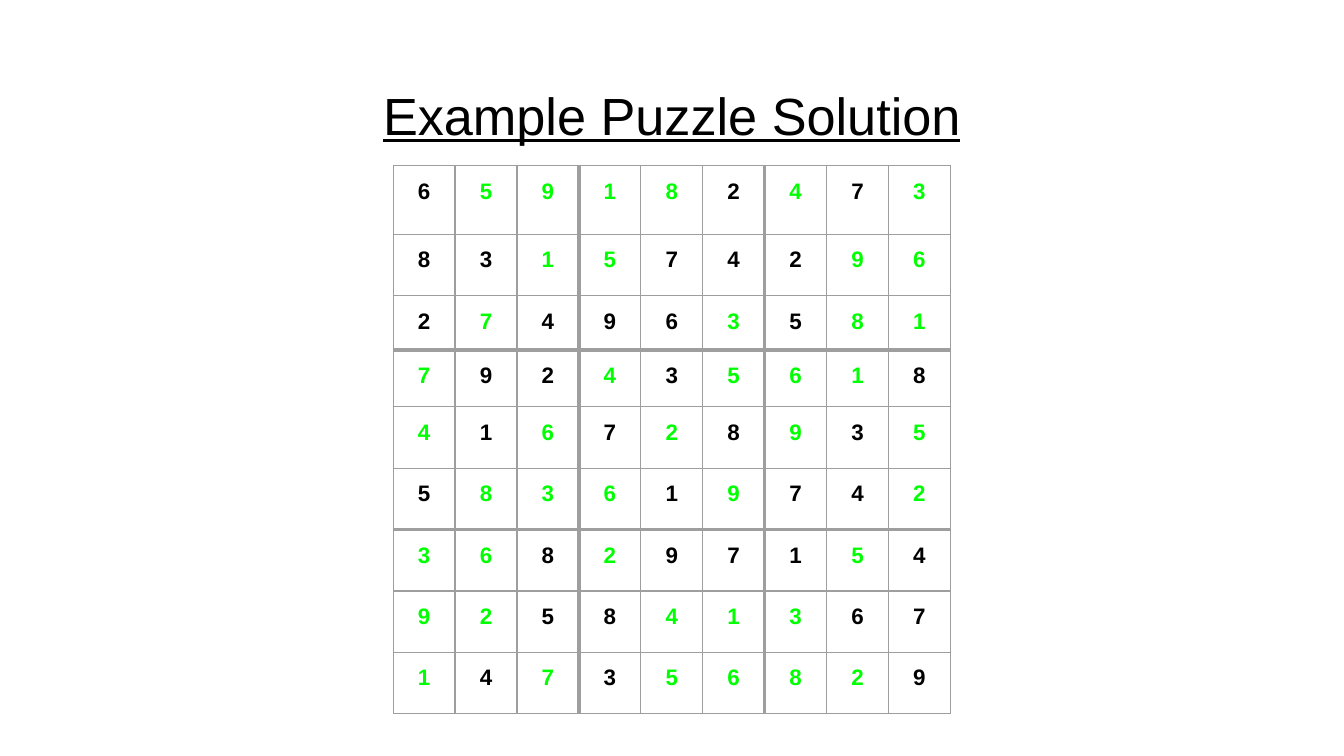
from dataclasses import dataclass

from lxml import etree
from pptx import Presentation
from pptx.dml.color import RGBColor
from pptx.enum.text import MSO_ANCHOR, PP_ALIGN
from pptx.oxml.ns import qn
from pptx.util import Cm, Pt

CENTER = PP_ALIGN.CENTER
TOP = MSO_ANCHOR.TOP


@dataclass(frozen=True)
class Theme:
    font: str = "Arial"
    given: str = "000000"
    solved: str = "00FF00"
    grid: str = "9E9E9E"
    title_size: float = 28
    digit_size: float = 12
    thin: float = 0.75
    thick: float = 2.25
    inset: float = 0.25


class SlideBuilder:
    def __init__(self, slide, theme):
        self.slide = slide
        self.theme = theme

    def add_text(self, paragraph, text, size, color, bold=False, underline=False):
        paragraph.alignment = CENTER
        run = paragraph.add_run()
        run.text = text
        run.font.name = self.theme.font
        run.font.size = Pt(size)
        run.font.bold = bold
        run.font.underline = underline
        run.font.color.rgb = RGBColor.from_string(color)

    def set_insets(self, area):
        area.margin_left = area.margin_right = Cm(self.theme.inset)
        area.margin_top = area.margin_bottom = Cm(self.theme.inset)

    def title(self, text, left, top, width, height):
        box = self.slide.shapes.add_textbox(Cm(left), Cm(top), Cm(width), Cm(height))
        frame = box.text_frame
        frame.word_wrap = True
        frame.vertical_anchor = TOP
        self.set_insets(frame)
        self.add_text(frame.paragraphs[0], text, self.theme.title_size,
                      self.theme.given, underline=True)

    def border(self, cell, side, width):
        line = etree.SubElement(cell._tc.get_or_add_tcPr(), qn(f"a:ln{side}"),
                                w=str(Pt(width)), cap="flat", cmpd="sng")
        fill = etree.SubElement(line, qn("a:solidFill"))
        etree.SubElement(fill, qn("a:srgbClr"), val=self.theme.grid)
        etree.SubElement(line, qn("a:prstDash"), val="solid")

    def sudoku(self, solution, givens, left, top, column_width, row_heights):
        size = len(solution)
        grid = self.slide.shapes.add_table(
            size, size, Cm(left), Cm(top),
            Cm(column_width * size), Cm(sum(row_heights))).table
        grid.first_row = grid.horz_banding = False
        for column in grid.columns:
            column.width = Cm(column_width)
        for row, height in zip(grid.rows, row_heights):
            row.height = Cm(height)
        for r, digits in enumerate(solution):
            for c, digit in enumerate(digits):
                cell = grid.cell(r, c)
                self.set_insets(cell)
                cell.vertical_anchor = TOP
                color = self.theme.given if givens[r][c] == digit else self.theme.solved
                self.add_text(cell.text_frame.paragraphs[0], digit,
                              self.theme.digit_size, color, bold=True)
                # Edges between the 3 by 3 boxes are thick
                for side, edge in (("L", c), ("R", c + 1), ("T", r), ("B", r + 1)):
                    between_boxes = edge % 3 == 0 and 0 < edge < size
                    self.border(cell, side,
                                self.theme.thick if between_boxes else self.theme.thin)
                cell.fill.background()


SOLUTION = ["659182473", "831574296", "274963581",
            "792435618", "416728935", "583619742",
            "368297154", "925841367", "147356829"]
GIVENS = ["6....2.7.", "83..742..", "2.496.5..",
          ".92.3...8", ".1.7.8.3.", "5...1.74.",
          "..8.971.4", "..58...67", ".4.3....9"]
ROW_HEIGHTS = [1.3, 1.16, 1.02, 1.08] + [1.16] * 5

deck = Presentation()
deck.slide_width, deck.slide_height = Cm(25.4), Cm(14.29)
page = SlideBuilder(deck.slides.add_slide(deck.slide_layouts[6]), Theme())

# Solved puzzle
page.sudoku(SOLUTION, GIVENS, left=7.43, top=3.13, column_width=1.17,
            row_heights=ROW_HEIGHTS)

# Heading
page.title("Example Puzzle Solution", left=0.86, top=1.32, width=23.67, height=1.6)

deck.save("out.pptx")
